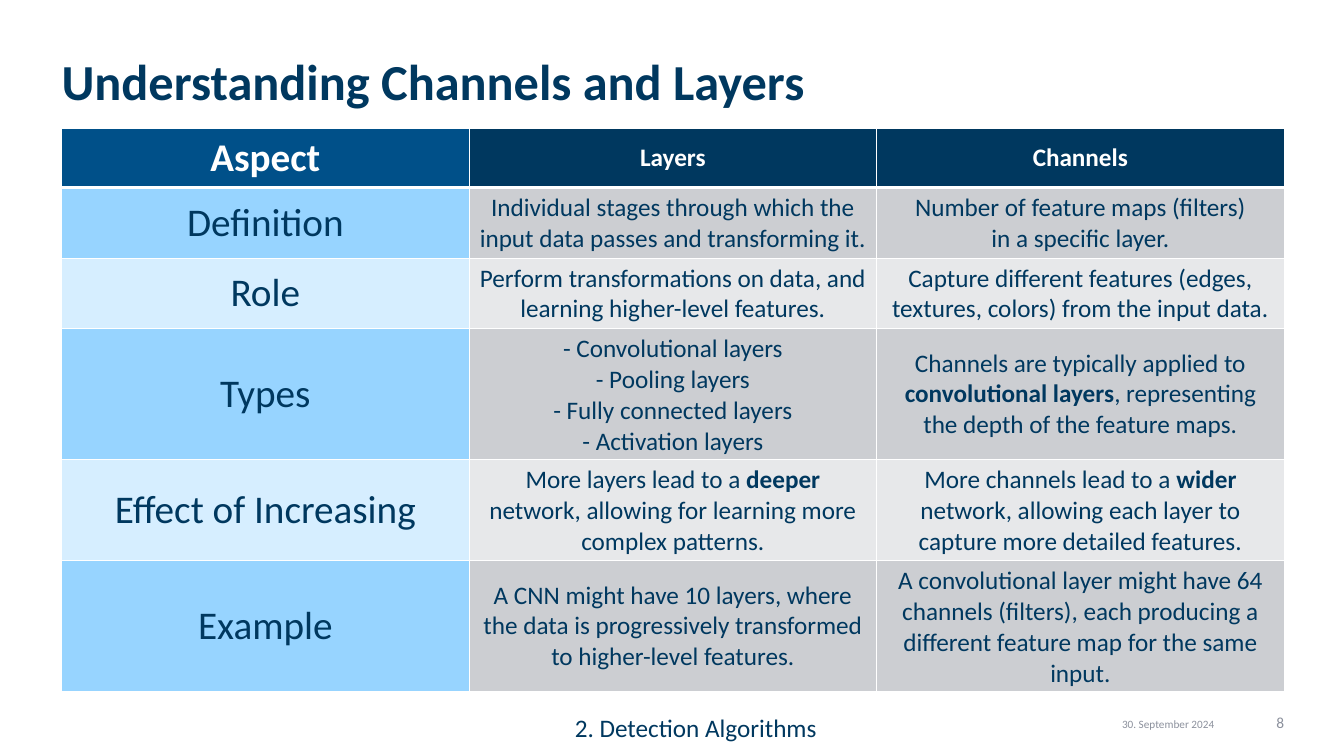
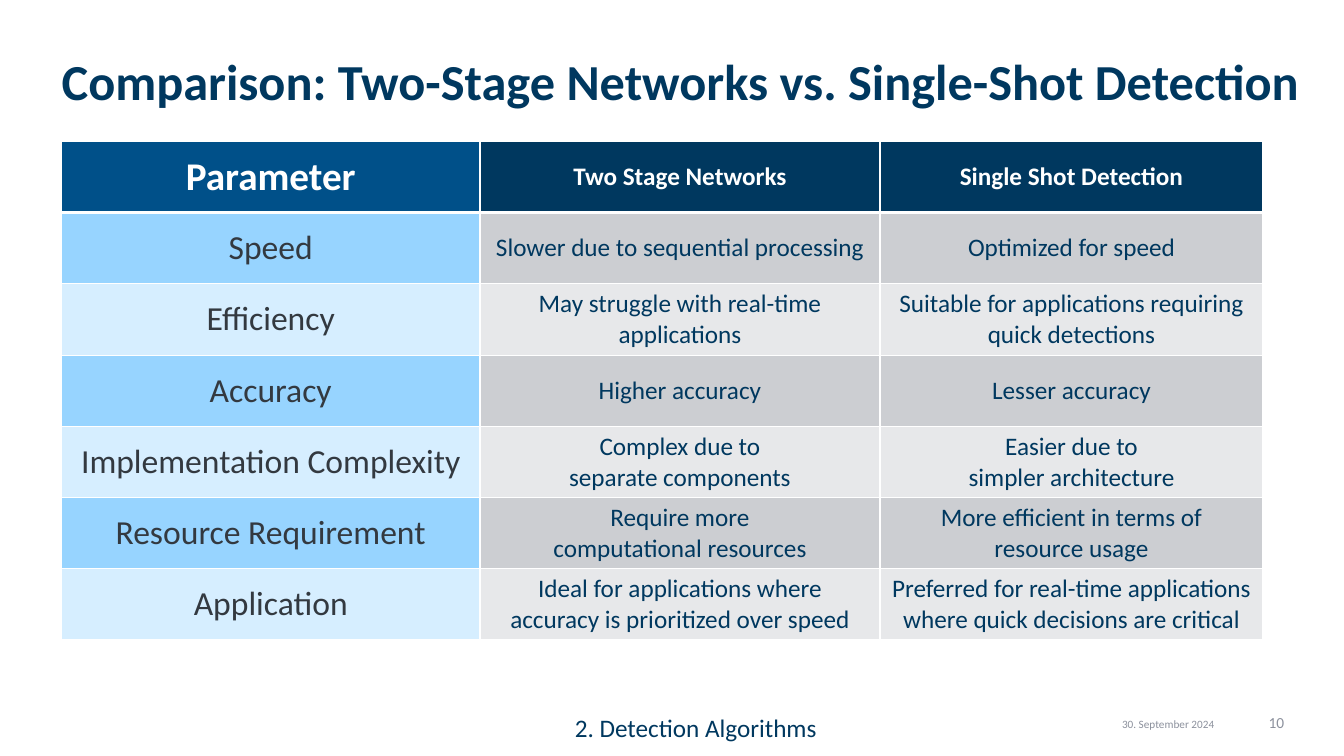
"""Build two comparison slides on detection networks."""
import pptx
import pptx.dml.color
import pptx.enum.text
import pptx.oxml
import pptx.oxml.ns
import pptx.util

Pt = pptx.util.Pt
RGBColor = pptx.dml.color.RGBColor
PP_ALIGN = pptx.enum.text.PP_ALIGN
MSO_ANCHOR = pptx.enum.text.MSO_ANCHOR
MSO_AUTO_SIZE = pptx.enum.text.MSO_AUTO_SIZE

NAVY = RGBColor(0x00, 0x38, 0x5F)
BLUE = RGBColor(0x00, 0x50, 0x89)
SKY = RGBColor(0x97, 0xD4, 0xFF)
PALE_SKY = RGBColor(0xD6, 0xEE, 0xFF)
SILVER = RGBColor(0xCC, 0xCE, 0xD2)
PALE_SILVER = RGBColor(0xE7, 0xE8, 0xEA)
CHARCOAL = RGBColor(0x33, 0x39, 0x40)
GREY = RGBColor(0x8C, 0x91, 0x9D)
WHITE = RGBColor(0xFF, 0xFF, 0xFF)

FONT = "Calibri"
MARGIN = 44
TITLE_TOP, TITLE_WIDTH, TITLE_HEIGHT = 41, 897, 38

LAYERS_ROWS = [
    ("Aspect", "Layers", "Channels"),
    ("Definition",
     "Individual stages through which the input data passes and transforming it.",
     "Number of feature maps (filters)\nin a specific layer."),
    ("Role",
     "Perform transformations on data, and learning higher-level features.",
     "Capture different features (edges, textures, colors) from the input data."),
    ("Types",
     "- Convolutional layers\n- Pooling layers\n- Fully connected layers\n- Activation layers",
     "Channels are typically applied to **convolutional layers**, "
     "representing the depth of the feature maps."),
    ("Effect of Increasing",
     "More layers lead to a **deeper** network, allowing for learning more complex patterns.",
     "More channels lead to a **wider** network, "
     "allowing each layer to capture more detailed features."),
    ("Example",
     "A CNN might have 10 layers, where the data is progressively "
     "transformed to higher-level features.",
     "A convolutional layer might have 64 channels (filters), "
     "each producing a different feature map for the same input."),
]

NETWORKS_ROWS = [
    ("Parameter", "Two Stage Networks", "Single Shot Detection"),
    ("Speed", "Slower due to sequential processing", "Optimized for speed"),
    ("Efficiency", "May struggle with real-time applications",
     "Suitable for applications requiring quick detections"),
    ("Accuracy", "Higher accuracy", "Lesser accuracy"),
    ("Implementation Complexity", "Complex due to\nseparate components",
     "Easier due to\nsimpler architecture"),
    ("Resource Requirement", "Require more\ncomputational resources",
     "More efficient in terms of\nresource usage"),
    ("Application", "Ideal for applications where\naccuracy is prioritized over speed",
     "Preferred for real-time applications where quick decisions are critical"),
]


def write(frame, text, *, size, color=NAVY, bold=False, align=PP_ALIGN.CENTER, spacing=None):
    """Fill a text frame; newlines split paragraphs and ** toggles bold."""
    for index, line in enumerate(text.split("\n")):
        paragraph = frame.add_paragraph() if index else frame.paragraphs[0]
        paragraph.alignment = align
        if spacing:
            paragraph.line_spacing = spacing
        for part, words in enumerate(line.split("**")):
            run = paragraph.add_run()
            run.text = words
            run.font.name = FONT
            run.font.size = Pt(size)
            run.font.bold = bold or part % 2 == 1
            run.font.color.rgb = color


def set_insets(frame, top=0):
    """Clear the insets of a text frame, apart from the top one."""
    frame.margin_left = frame.margin_right = frame.margin_bottom = 0
    frame.margin_top = Pt(top)


def add_title(slide, text):
    """Place and format the slide title."""
    title = slide.shapes.title
    title.left, title.top = Pt(MARGIN), Pt(TITLE_TOP)
    title.width, title.height = Pt(TITLE_WIDTH), Pt(TITLE_HEIGHT)
    frame = title.text_frame
    set_insets(frame)
    frame.auto_size = MSO_AUTO_SIZE.NONE
    frame.vertical_anchor = MSO_ANCHOR.MIDDLE
    write(frame, text, size=36, bold=True, align=PP_ALIGN.LEFT, spacing=0.9)


def add_label(slide, text, left, top, width, height, inset=None, **style):
    """Add a wrapping text box and return its frame."""
    frame = slide.shapes.add_textbox(Pt(left), Pt(top), Pt(width), Pt(height)).text_frame
    frame.word_wrap = True
    if inset is not None:
        set_insets(frame, inset)
    write(frame, text, **style)
    return frame


def add_footer(slide, number):
    """Add the date, page number and chapter name."""
    add_label(slide, "30. September 2024", 775, 508.5, 119, 11.5, inset=3.6, size=8, color=GREY)
    add_label(slide, str(number), 894, 508.5, 23.3, 11.5, inset=0.7,
              size=11, color=GREY, align=PP_ALIGN.RIGHT)
    chapter = add_label(slide, "2. Detection Algorithms", 257, 505, 480, 29, size=18)
    chapter.auto_size = MSO_AUTO_SIZE.SHAPE_TO_FIT_TEXT


def set_borders(cell, top, bottom):
    """Draw white borders around a cell, before its fill is set."""
    properties = cell._tc.get_or_add_tcPr()
    for side, width in (("L", 1), ("R", 1), ("T", top), ("B", bottom)):
        properties.append(pptx.oxml.parse_xml(
            f'<a:ln{side} {pptx.oxml.ns.nsdecls("a")} w="{Pt(width)}">'
            f'<a:solidFill><a:srgbClr val="{WHITE}"/></a:solidFill></a:ln{side}>'))


def cell_fill(row, column):
    """Choose a cell's fill from its row and column."""
    if row == 0:
        return NAVY if column else BLUE
    if row % 2:
        return SILVER if column else SKY
    return PALE_SILVER if column else PALE_SKY


def add_comparison(slide, rows, top, widths, heights, aspect_size, aspect_color):
    """Add a table whose first column names the aspects compared."""
    table = slide.shapes.add_table(len(rows), len(widths), Pt(MARGIN), Pt(top),
                                   Pt(sum(widths)), Pt(sum(heights))).table
    table.horz_banding = False
    for column, width in zip(table.columns, widths):
        column.width = Pt(width)
    for r, (texts, height) in enumerate(zip(rows, heights)):
        table.rows[r].height = Pt(height)
        for c, text in enumerate(texts):
            cell = table.cell(r, c)
            set_borders(cell, top=3 if r == 1 else 1, bottom=1 if r else 3)
            cell.fill.solid()
            cell.fill.fore_color.rgb = cell_fill(r, c)
            cell.vertical_anchor = MSO_ANCHOR.MIDDLE
            if r == 0:
                style = dict(size=18 if c else 28, color=WHITE, bold=True)
            elif c == 0:
                style = dict(size=aspect_size, color=aspect_color)
            else:
                style = dict(size=18)
            write(cell.text_frame, text, **style)


def add_slide(deck, title, number, **comparison):
    """Add a slide with a title, a comparison table and the footer."""
    slide = deck.slides.add_slide(deck.slide_layouts[5])
    add_title(slide, title)
    add_footer(slide, number)
    add_comparison(slide, **comparison)


def main():
    """Build and save the deck."""
    deck = pptx.Presentation()
    deck.slide_width, deck.slide_height = Pt(960), Pt(540)
    add_slide(deck, "Understanding Channels and Layers", 8,
              rows=LAYERS_ROWS, top=91.5, widths=[291.1] * 3,
              heights=[42.5, 47.5, 47.5, 88.5, 67.5, 88.5],
              aspect_size=28, aspect_color=NAVY)
    add_slide(deck, "Comparison: Two-Stage Networks vs. Single-Shot Detection", 10,
              rows=NETWORKS_ROWS, top=101, widths=[298.8, 285.8, 273.6],
              heights=[50.9] * len(NETWORKS_ROWS),
              aspect_size=24, aspect_color=CHARCOAL)
    deck.save("out.pptx")


if __name__ == "__main__":
    main()
